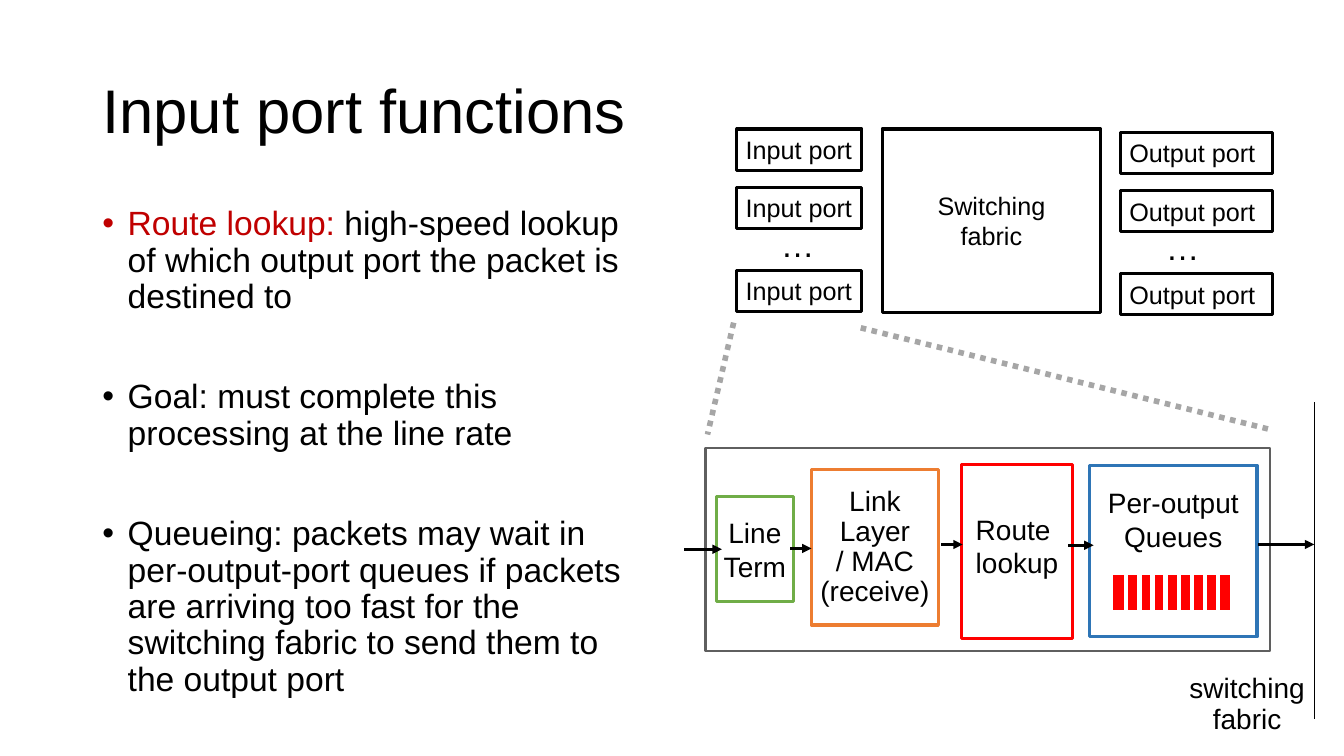
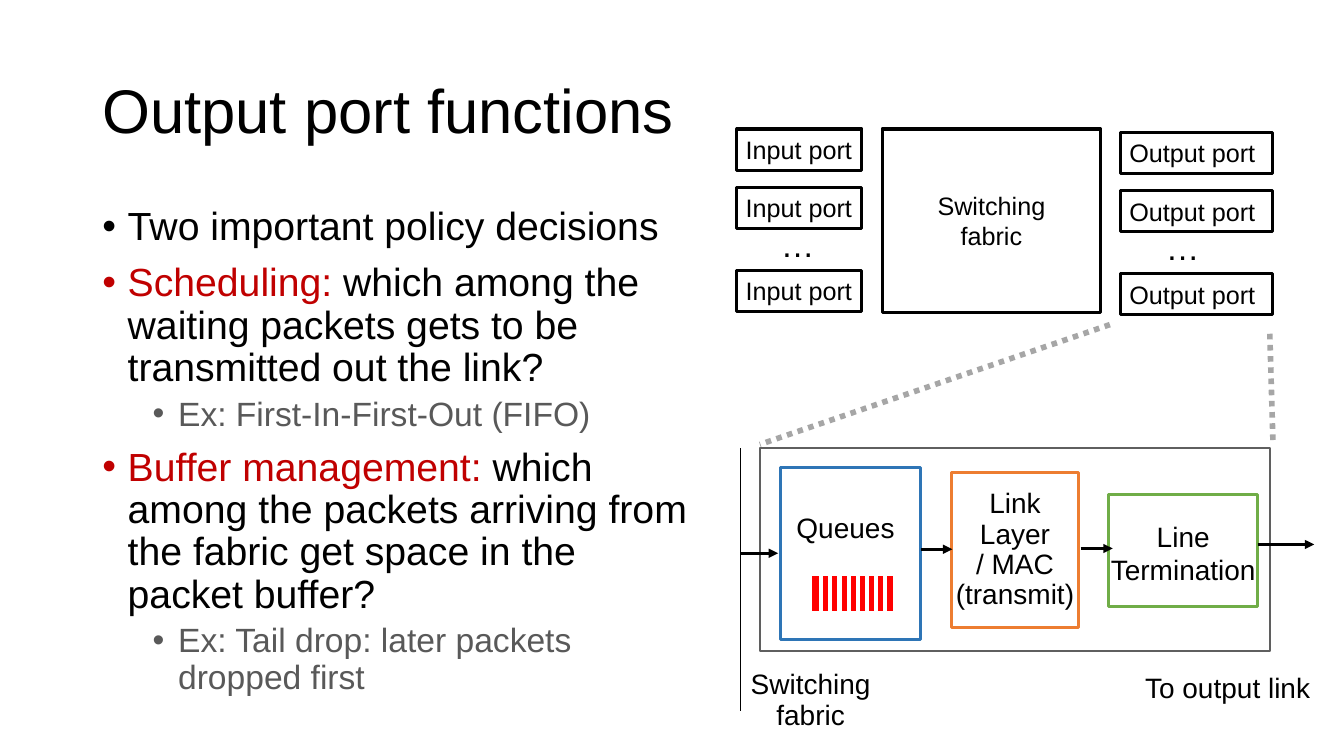
from lxml import etree
from pptx import Presentation
from pptx.dml.color import RGBColor
from pptx.enum.dml import MSO_LINE
from pptx.enum.shapes import MSO_CONNECTOR, MSO_SHAPE
from pptx.enum.text import MSO_ANCHOR, PP_ALIGN
from pptx.oxml.ns import qn
from pptx.util import Cm, Pt

LEFT, CENTER = PP_ALIGN.LEFT, PP_ALIGN.CENTER
TOP, MIDDLE = MSO_ANCHOR.TOP, MSO_ANCHOR.MIDDLE
RECT, STRAIGHT, DOTTED = MSO_SHAPE.RECTANGLE, MSO_CONNECTOR.STRAIGHT, MSO_LINE.ROUND_DOT

FONT = "Arial"
BLACK, WHITE, GRAY, FRAME_GRAY, DOT_GRAY = "000000", "FFFFFF", "595959", "5F5F5F", "A6A6A6"
DARK_RED, RED, GREEN, ORANGE, BLUE = "C00000", "FF0000", "70AD47", "ED7D31", "2E75B6"

# Shared router overview; all lengths are in cm
TITLE_BOX = (2.33, 1.02, 29.21, 3.68)
FABRIC_BOX = (22.23, 3.25, 5.51, 4.62)
PORT_HEIGHT = 1.04
PORT_OFFSETS = (0, 1.47, 3.56)
# label, left, top, width, left of the ellipsis
PORT_COLUMNS = [
    ("Input port", 18.57, 3.25, 3.15, 19.43),
    ("Output port", 28.24, 3.33, 3.84, 29.13),
]

# Bullets: level, highlighted lead, text
# Stages: text, box, colour, text layout
# Arrows: start x, end x, y
SLIDES = [
    {
        "title": "Input port functions",
        "body": (2.33, 5.08, 14.4, 13.21),
        "sizes": (24, 24),
        "gap": 46,
        "bullets": [
            (0, "Route lookup:", " high-speed lookup of which output port "
                "the packet is destined to"),
            (0, "", "Goal: must complete this processing at the line rate"),
            (0, "", "Queueing: packets may wait in per-output-port queues if "
                "packets are arriving too fast for the switching fabric to "
                "send them to the output port"),
        ],
        "frame": (17.78, 11.3, 14.22, 5.11),
        "stages": [
            ("Line\nTerm", (18.06, 12.52, 1.93, 2.64), GREEN, {}),
            ("Link\nLayer\n/ MAC\n(receive)", (20.45, 11.84, 3.2, 3.91), ORANGE,
             {"spacing": 0.9}),
            ("Route\nlookup", (24.23, 11.71, 2.79, 4.39), RED,
             {"align": LEFT, "inset": (0.36, 0, 0, 0.3)}),
            ("Per-output\nQueues", (27.46, 11.73, 4.22, 4.32), BLUE,
             {"anchor": TOP, "inset": (0, 0.51, 0, 0)}),
        ],
        "queue": (27.99, 14.43, 3.05, 0.99),
        "arrows": [(17.25, 18.19, 13.84), (19.91, 20.45, 13.82),
                   (23.72, 24.26, 13.72), (26.92, 27.56, 13.74),
                   (31.7, 33.12, 13.72)],
        "fabric_edge": (33.13, 10.13, 33.13, 18.11),
        "zoom": [(18.49, 8.13, 17.83, 10.95), (21.69, 8.26, 32, 10.82)],
        "labels": [("switching\nfabric", (29.83, 16.61, 3.2, 2.31))],
    },
    {
        "title": "Output port functions",
        "body": (2.33, 5.08, 15.37, 13.74),
        "sizes": (28, 24),
        "gap": 10,
        "bullets": [
            (0, "", "Two important policy decisions"),
            (0, "Scheduling:", " which among the waiting packets gets to be "
                "transmitted out the link?"),
            (1, "", "Ex: First-In-First-Out (FIFO)"),
            (0, "Buffer management:", " which among the packets arriving from "
                "the fabric get space in the packet buffer?"),
            (1, "", "Ex: Tail drop: later packets dropped first"),
        ],
        "frame": (19.15, 11.3, 12.85, 5.11),
        "stages": [
            ("Queues", (19.66, 11.79, 3.53, 4.32), BLUE,
             {"anchor": TOP, "inset": (0, 1.07, 0.23, 0)}),
            ("Link\nLayer\n/ MAC\n(transmit)", (23.98, 11.91, 3.2, 3.91), ORANGE,
             {"spacing": 0.9}),
            ("Line\nTermination", (27.94, 12.47, 3.76, 2.82), GREEN,
             {"inset": (0, 0.1, 0, 0)}),
        ],
        "queue": (20.42, 14.45, 2.13, 0.99),
        "arrows": [(18.67, 19.61, 13.94), (23.22, 24, 13.84),
                   (27.23, 28.04, 13.82), (31.7, 33.12, 13.72)],
        "fabric_edge": (18.66, 11.3, 18.66, 17.91),
        "zoom": [(27.97, 8.18, 19.15, 11.2), (32, 8.41, 32.08, 11.15)],
        "labels": [("Switching\nfabric", (18.83, 16.51, 3.2, 2.31)),
                   ("To output link", (28.64, 16.82, 4.6, 1.12))],
    },
]


def rgb(color):
    return RGBColor.from_string(color)


def style_run(r, size, color=BLACK):
    r.font.name, r.font.size, r.font.color.rgb = FONT, Pt(size), rgb(color)


def set_frame(tf, anchor, inset):
    tf.word_wrap = True
    tf.vertical_anchor = anchor
    tf.margin_left, tf.margin_top, tf.margin_right, tf.margin_bottom = map(Cm, inset)


def write(sp, text, size, align=CENTER, anchor=MIDDLE, inset=(0, 0, 0, 0), spacing=1.0):
    tf = sp.text_frame
    set_frame(tf, anchor, inset)
    tf.text = text
    for p in tf.paragraphs:
        p.alignment, p.line_spacing = align, spacing
        for r in p.runs:
            style_run(r, size)


def add_text(s, box, text, size, **layout):
    write(s.shapes.add_textbox(*map(Cm, box)), text, size, **layout)


def add_rect(s, box, line, width=2.25, fill=WHITE):
    sp = s.shapes.add_shape(RECT, *map(Cm, box))
    sp.shadow.inherit = False
    sp.fill.solid()
    sp.fill.fore_color.rgb = rgb(fill)
    sp.line.color.rgb, sp.line.width = rgb(line), Pt(width)
    return sp


def add_line(s, ends, color=BLACK, width=2.25, arrow=False, dash=None):
    line = s.shapes.add_connector(STRAIGHT, *map(Cm, ends))
    line.line.color.rgb, line.line.width = rgb(color), Pt(width)
    if dash:
        line.line.dash_style = dash
    if arrow:
        etree.SubElement(line.line._get_or_add_ln(), qn("a:tailEnd"), type="triangle")
    etree.SubElement(line._element.spPr, qn("a:effectLst"))


def add_bullets(s, box, bullets, sizes, gap):
    tf = s.shapes.add_textbox(*map(Cm, box)).text_frame
    set_frame(tf, TOP, (0.25, 0.13, 0.25, 0.13))
    for i, (level, lead, text) in enumerate(bullets):
        p = tf.paragraphs[0] if i == 0 else tf.add_paragraph()
        p.level, p.line_spacing = level, 0.9
        p.space_before = Pt(5 if level else gap if i else 10)
        pPr = p._p.get_or_add_pPr()
        pPr.set("marL", str(Cm(0.64 + 1.27 * level)))
        pPr.set("indent", str(-Cm(0.64)))
        etree.SubElement(pPr, qn("a:buFont"), typeface=FONT)
        etree.SubElement(pPr, qn("a:buChar"), char="•")
        for part, color in ((lead, DARK_RED), (text, GRAY if level else BLACK)):
            if part:
                r = p.add_run()
                r.text = part
                style_run(r, sizes[level], color)


def add_router(s):
    write(add_rect(s, FABRIC_BOX, BLACK), "Switching fabric", 18, inset=(1, 0, 1, 0))
    for label, left, top, width, dots_left in PORT_COLUMNS:
        for offset in PORT_OFFSETS:
            port = add_rect(s, (left, top + offset, width, PORT_HEIGHT), BLACK)
            write(port, label, 18, align=LEFT, inset=(0.22, 0, 0, 0))
        add_text(s, (dots_left, top + 2.26, 1.45, 1.27), "…", 24,
                 align=LEFT, inset=(0.25, 0.13, 0, 0.13))


def add_queue(s, box):
    left, top, width, height = box
    add_rect(s, box, WHITE, 3, RED)
    for i in range(8):
        x = left + width * (0.13 + 0.108 * i)
        add_line(s, (x, top, x, top + height), WHITE, 3)


def build_slide(prs, data):
    s = prs.slides.add_slide(prs.slide_layouts[6])

    # Title and bullets
    add_text(s, TITLE_BOX, data["title"], 44, align=LEFT,
             inset=(0.25, 0.13, 0.25, 0.13), spacing=0.9)
    add_bullets(s, data["body"], data["bullets"], data["sizes"], data["gap"])

    # Router overview and zoom lines
    add_router(s)
    for ends in data["zoom"]:
        add_line(s, ends, DOT_GRAY, 4, dash=DOTTED)

    # Port detail
    add_rect(s, data["frame"], FRAME_GRAY, 1.5)
    for text, box, color, layout in data["stages"]:
        write(add_rect(s, box, color), text, 20, **layout)
    add_queue(s, data["queue"])
    for start, end, y in data["arrows"]:
        add_line(s, (start, y, end, y), arrow=True)

    # Fabric edge and captions
    add_line(s, data["fabric_edge"], width=0.75)
    for text, box in data["labels"]:
        add_text(s, box, text, 20, spacing=0.9)


def main():
    prs = Presentation()
    prs.slide_width, prs.slide_height = Cm(33.87), Cm(19.05)
    for data in SLIDES:
        build_slide(prs, data)
    prs.save("out.pptx")


if __name__ == "__main__":
    main()
